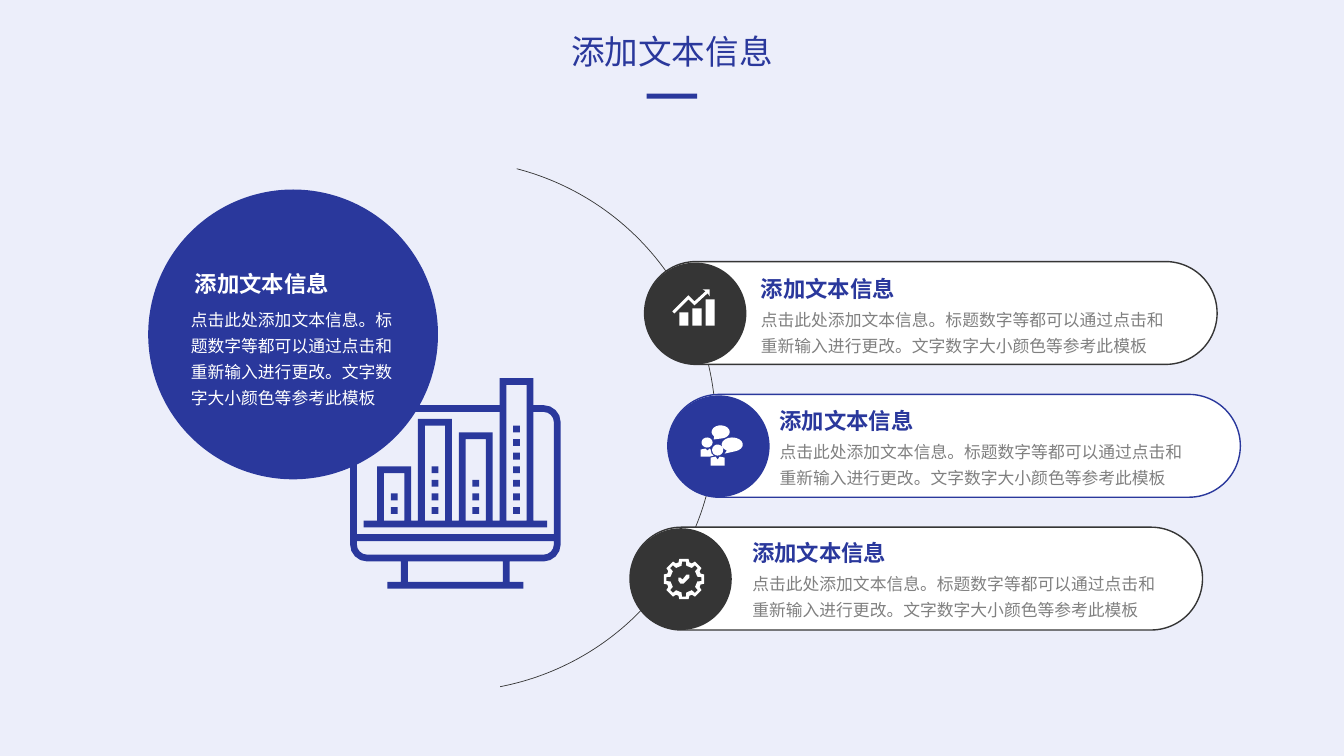
"""Build a slide with a monitor, an arc and three labelled cards."""
from math import cos, radians, sin

from lxml.etree import SubElement
from pptx import Presentation
from pptx.dml.color import RGBColor
from pptx.enum.shapes import MSO_SHAPE as SHAPE
from pptx.enum.text import PP_ALIGN as ALIGN
from pptx.oxml.ns import qn
from pptx.util import Inches, Pt

COLORS = {"page": "ECEEFA", "blue": "2A389C", "dark": "353535", "white": "FFFFFF", "gray": "808080"}
CELL = Inches(0.01)
COLUMNS, ROWS = 1333.33, 750
HEADING = "添加文本信息"
DETAIL = "点击此处添加文本信息。标题数字等都可以通过点击和重新输入进行更改。文字数字大小颜色等参考此模板"

deck = Presentation()
deck.slide_width, deck.slide_height = int(COLUMNS * CELL), ROWS * CELL
slide = deck.slides.add_slide(deck.slide_layouts[6])
slide.background.fill.solid()
slide.background.fill.fore_color.rgb = RGBColor.from_string(COLORS["page"])


def draw(kind, box, fill=None, line=None, weight=1, adjust=(), contours=()):
    if contours:
        scaled = [[(int(x * CELL), int(y * CELL)) for x, y in points] for points in contours]
        builder = slide.shapes.build_freeform(*scaled[0][0])
        for number, points in enumerate(scaled):
            if number:
                builder.move_to(*points[0])
            builder.add_line_segments(points[1:], close=True)
        shape = builder.convert_to_shape()
    else:
        shape = slide.shapes.add_shape(kind, *[int(cells * CELL) for cells in box])
    for index, value in enumerate(adjust):
        shape.adjustments[index] = value
    shape.shadow.inherit = False
    if fill:
        shape.fill.solid()
        shape.fill.fore_color.rgb = RGBColor.from_string(COLORS[fill])
    else:
        shape.fill.background()
    if line:
        shape.line.color.rgb = RGBColor.from_string(COLORS[line])
        shape.line.width = Pt(weight)
    else:
        shape.line.fill.background()


def write(text, box, size=12, color="gray", font="Noto Sans CJK JP", bold=False, align=ALIGN.LEFT, spacing=1.0):
    frame = slide.shapes.add_textbox(*[int(cells * CELL) for cells in box]).text_frame
    frame.word_wrap = True
    paragraph = frame.paragraphs[0]
    paragraph.alignment, paragraph.line_spacing = align, spacing
    run = paragraph.add_run()
    run.text = text
    run.font.size, run.font.bold, run.font.name = Pt(size), bold, font
    run.font.color.rgb = RGBColor.from_string(COLORS[color])
    SubElement(run.font._element, qn("a:ea")).set("typeface", font)


write(HEADING, (COLUMNS / 2 - 118, 26, 236, 50), size=24, color="blue", align=ALIGN.CENTER)
draw(SHAPE.RECTANGLE, (COLUMNS / 2 - 25, 93, 50, 5), "blue")

corner_centers = [("top left", 2.5, 6.5, 180), ("top right", 28.5, 6.5, 270),
                  ("low right", 28.5, 24.5, 0), ("low left", 2.5, 24.5, 90)]
corners = {
    (name, radius): [(x + radius * cos(radians(start + turn)), y + radius * sin(radians(start + turn)))
                     for turn in (0, 22.5, 45, 67.5, 90)]
    for name, x, y, start in corner_centers for radius in (1.5, 2.5)
}
towers = [(4, 13, 2), (10, 6, 4), (16, 8, 3), (22, 0, 7)]
silhouette = [(22, 0), (27, 0), (27, 4), *corners["top right", 2.5], *corners["low right", 2.5],
              (23.5, 27), (23.5, 30), (25.5, 30), (25.5, 31), (5.5, 31), (5.5, 30), (7.5, 30), (7.5, 27),
              *corners["low left", 2.5], *corners["top left", 2.5], (22, 4)]
screen = [*corners["top left", 1.5], (22, 5), (22, 21)]
for left, top, windows in reversed(towers[:3]):
    screen += [(left + 5, 21), (left + 5, top), (left, top), (left, 21)]
screen += [(2, 21), (2, 22), (29, 22), (29, 21), (27, 21), (27, 5), *corners["top right", 1.5], (30, 23), (1, 23)]
base_strip = [(1, 24), (30, 24), *corners["low right", 1.5], *corners["low left", 1.5]]
openings = [(8.5, 27, 14, 3)]
for left, top, windows in towers:
    openings.append((left + 1, top + 1, 3, 20 - top))
    openings += [(left + 2, 19 - 2 * window, 1, 1) for window in range(windows)]
monitor = [silhouette, screen, base_strip]
monitor += [[(x, y), (x + w, y), (x + w, y + h), (x, y + h)] for x, y, w, h in openings]
draw(None, None, "blue", contours=[[(347.3 + 6.74 * x, 375 + 6.74 * y) for x, y in points] for points in monitor])

draw(SHAPE.ARC, (183, 159, 527, 527), line="dark", weight=0.5, adjust=(284.55 * 0.6, 79.12 * 0.6))

cards = [(639.5, 745, "dark"), (662.5, 763.5, "blue"), (625, 736.5, "dark")]
for row, (left, text_left, color) in enumerate(cards):
    top = 259.5 + 131.75 * row
    draw(SHAPE.ROUNDED_RECTANGLE, (left, top, 568, 102), "white", color, adjust=(0.5,))
    draw(SHAPE.OVAL, (left, top + 1, 101, 101), color)

growth = [[(689, 303), (683, 297), (669, 311), (667, 309), (683, 293), (689, 299),
           (700, 289), (697, 287), (704, 287), (704, 294), (702, 291)]]
growth += [[(x, top), (x + 9, top), (x + 9, 323), (x, 323)] for x, top in [(674, 310), (687, 306), (700, 297)]]

people = [
    [(695, 446), (700, 445), (702, 447), (704, 445), (705, 446), (706, 450), (708, 452), (704, 453), (695, 453)],
    [(705, 454), (710, 453), (712, 456), (714, 453), (719, 454), (719, 462), (705, 462)],
]
heads_and_bubbles = [
    (701.5, 439, 5.5, 5, 0, 345, []), (712, 446.5, 5.5, 5.5, 0, 345, []),
    (715, 428.5, 9, 6.5, 135, 305, [(708, 436)]), (726.5, 441, 10.5, 7, 121, 315, [(719, 450)]),
]
for x, y, across, down, start, sweep, tail in heads_and_bubbles:
    turns = [radians(start + sweep * step / 15) for step in range(16)]
    people.append([(x + across * cos(turn), y + down * sin(turn)) for turn in turns] + tail)

tooth_edges = [
    [(-18, 17.4), (-13, 20.5), (13, 20.5), (18, 17.4)],
    [(-10, 13.5), (-6.5, 17.5), (6.5, 17.5), (10, 13.5)],
]
gear = [
    [(678.5 + radius * cos(radians(45 * tooth + turn)), 574.5 + radius * sin(radians(45 * tooth + turn)))
     for tooth in range(8) for turn, radius in edge]
    for edge in tooth_edges
]
check = [(682, 570), (684, 570), (684, 573), (678, 579), (675, 579),
         (673, 576), (673, 573), (675, 573), (677, 575), (681, 570)]
for icon in (growth, people, gear + [check]):
    draw(None, None, "white", contours=icon)

draw(SHAPE.OVAL, (147, 188, 287.5, 287.5), "blue")
write(DETAIL, (179.5, 296.3, 229, 113), color="white", font="Noto Sans CJK SC", spacing=1.3)
write(HEADING, (183.5, 263, 155, 37), size=16, color="white", bold=True)
for row, (left, text_left, color) in enumerate(cards):
    write(DETAIL, (text_left, 296.5 + 130.75 * row, 428, 60), font="Noto Sans CJK SC", spacing=1.3)
    write(HEADING, (text_left, 268 + 131 * row, 155, 37), size=16, color="blue", bold=True)

deck.save("out.pptx")
